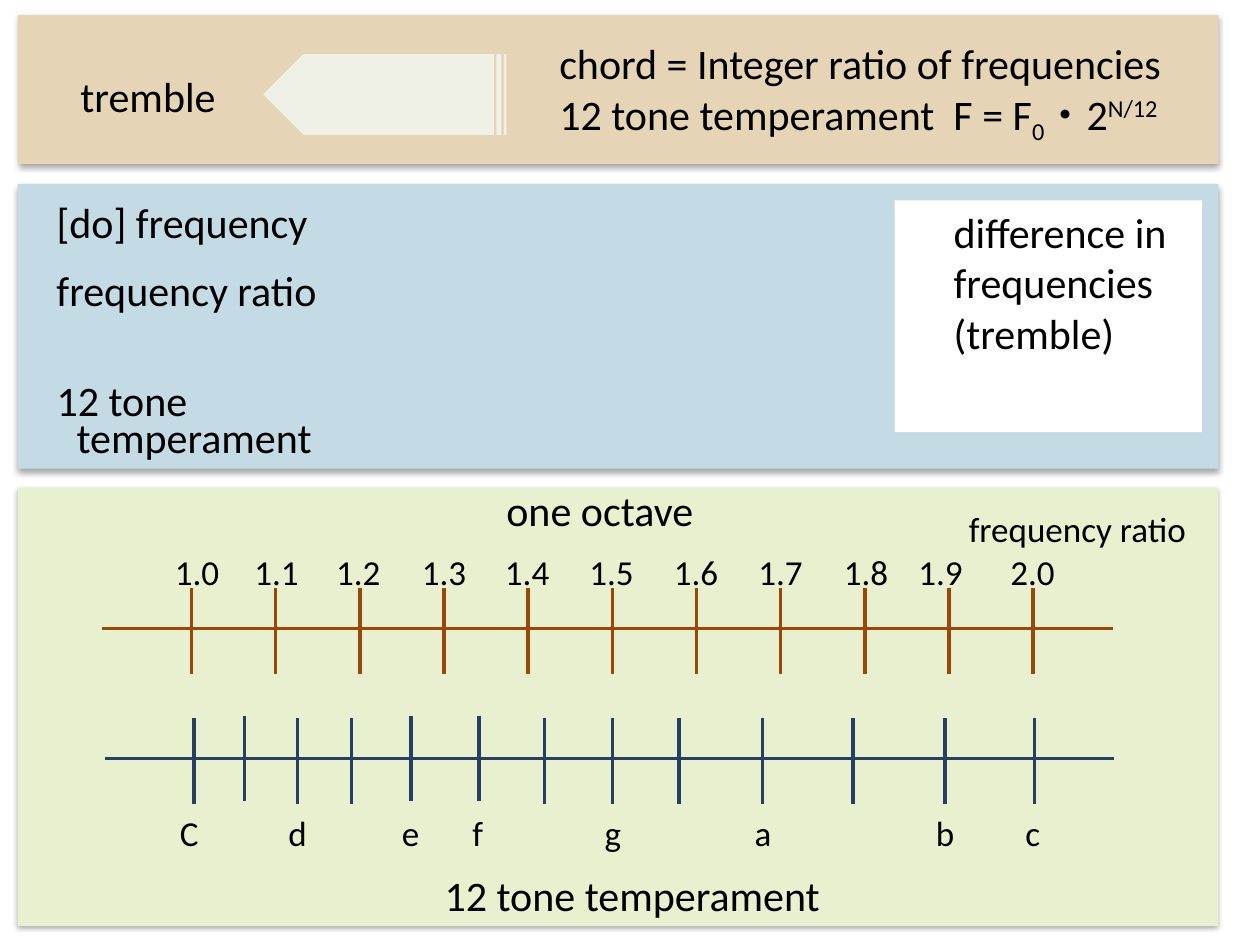
from dataclasses import dataclass
from lxml.etree import SubElement
from pptx import Presentation
from pptx.dml.color import RGBColor
from pptx.enum.shapes import MSO_CONNECTOR, MSO_SHAPE
from pptx.enum.text import MSO_AUTO_SIZE
from pptx.oxml.ns import qn
from pptx.slide import Slide
from pptx.util import Inches, Pt

COLORS = {
    "text": "000000",
    "white": "FFFFFF",
    "sand": "E5D5B6",
    "cream": "F0F1E6",
    "blue": "C4DBE5",
    "green": "E9F0D0",
    "brown": "984807",
    "navy": "254061",
}


def color(name):
    return RGBColor.from_string(COLORS[name])


@dataclass
class Board:
    slide: Slide
    font: str = "Calibri"
    size: int = 24
    stroke: int = 2

    def shape(self, box, fill, kind=MSO_SHAPE.RECTANGLE):
        item = self.slide.shapes.add_shape(kind, *map(Inches, box))
        item.shadow.inherit = False
        item.fill.solid()
        item.fill.fore_color.rgb = color(fill)
        item.line.fill.background()
        return item

    def panel(self, top, height, fill):
        item = self.shape((0.14, top, 9.53, height), fill)
        effects = item._element.spPr.find(qn("a:effectLst"))
        shadow = SubElement(effects, qn("a:outerShdw"), blurRad="40000",
                            dist="23000", dir="5400000", rotWithShape="0")
        tint = SubElement(shadow, qn("a:srgbClr"), val=COLORS["text"])
        SubElement(tint, qn("a:alpha"), val="35000")

    def arrow(self, box, fill):
        item = self.shape(box, fill, MSO_SHAPE.STRIPED_RIGHT_ARROW)
        item.adjustments[0] = 1
        item.adjustments[1] = 0.5
        item._element.spPr.xfrm.set("flipH", "1")

    def text(self, box, *lines, size=None):
        frame = self.slide.shapes.add_textbox(*map(Inches, box)).text_frame
        frame.word_wrap = False
        frame.auto_size = MSO_AUTO_SIZE.SHAPE_TO_FIT_TEXT
        for i, line in enumerate(lines):
            para = frame.add_paragraph() if i else frame.paragraphs[0]
            para.font.name = self.font
            para.font.size = Pt(size or self.size)
            para.font.color.rgb = color("text")
            runs = [(line, 0)] if isinstance(line, str) else line
            for words, shift in runs:
                run = para.add_run()
                run.text = words
                SubElement(run.font._element, qn("a:ea"), typeface=self.font)
                if shift:
                    run.font._element.set("baseline", str(shift * 1000))

    def line(self, x1, y1, x2, y2, hue):
        item = self.slide.shapes.add_connector(
            MSO_CONNECTOR.STRAIGHT, *map(Inches, (x1, y1, x2, y2)))
        item.line.color.rgb = color(hue)
        item.line.width = Pt(self.stroke)
        SubElement(item._element.spPr, qn("a:effectLst"))

    def ticks(self, places, top, hue):
        for x in places:
            self.line(x, top, x, top + 0.68, hue)


def main():
    deck = Presentation()
    deck.slide_width, deck.slide_height = Inches(10), Inches(7.5)
    board = Board(deck.slides.add_slide(deck.slide_layouts[6]))

    board.panel(0.12, 1.18, "sand")
    board.text((0.54, 0.51, 1.29, 0.5), "tremble")
    board.arrow((2.09, 0.43, 1.93, 0.64), "cream")
    formula = [("12 tone temperament  F = F", 0), ("0", -25), ("・2", 0), ("N/12", 30)]
    board.text((4.34, 0.25, 5.25, 0.91), "chord = Integer ratio of frequencies", formula)

    board.panel(1.46, 2.26, "blue")
    for left, top, width, words in (
        (0.35, 1.51, 2.22, "[do] frequency"),
        (0.35, 2.05, 2.3, "frequency ratio"),
        (0.35, 2.92, 1.25, "12 tone"),
        (0.51, 3.22, 2.1, "temperament"),
    ):
        board.text((left, top, width, 0.5), words)
    board.shape((7.1, 1.59, 2.44, 1.84), "white")
    board.text((7.47, 1.59, 1.92, 1.31), "difference in", "frequencies", "(tremble)")

    board.panel(3.87, 3.48, "green")
    board.text((3.92, 3.8, 1.71, 0.5), "one octave")
    board.text((7.59, 3.98, 1.95, 0.44), "frequency ratio", size=20)
    board.text((3.43, 6.85, 3.23, 0.5), "12 tone temperament")

    board.line(0.81, 4.99, 8.83, 4.99, "brown")
    board.ticks([1.52 + 6.68 * i / 10 for i in range(11)], 4.67, "brown")
    lefts = (1.29, 1.92, 2.57, 3.25, 3.91, 4.58, 5.25, 5.92, 6.6, 7.19, 7.92)
    for i, left in enumerate(lefts):
        board.text((left, 4.32, 0.56, 0.44), f"{1 + i / 10:.1f}", size=20)

    board.line(0.83, 6.02, 8.84, 6.02, "navy")
    board.ticks((1.54, 2.36, 2.79, 4.32, 4.86, 5.39, 6.05, 6.77, 7.5, 8.21), 5.7, "navy")
    board.ticks((1.94, 3.26, 3.8), 5.68, "navy")
    for note, left, width in (
        ("C", 1.33, 0.35), ("d", 2.19, 0.35), ("e", 3.09, 0.35), ("f", 3.65, 0.3),
        ("g", 4.7, 0.33), ("a", 5.89, 0.33), ("b", 7.33, 0.35), ("c", 8.04, 0.32),
    ):
        board.text((left, 6.39, width, 0.44), note, size=20)

    deck.save("out.pptx")


if __name__ == "__main__":
    main()
